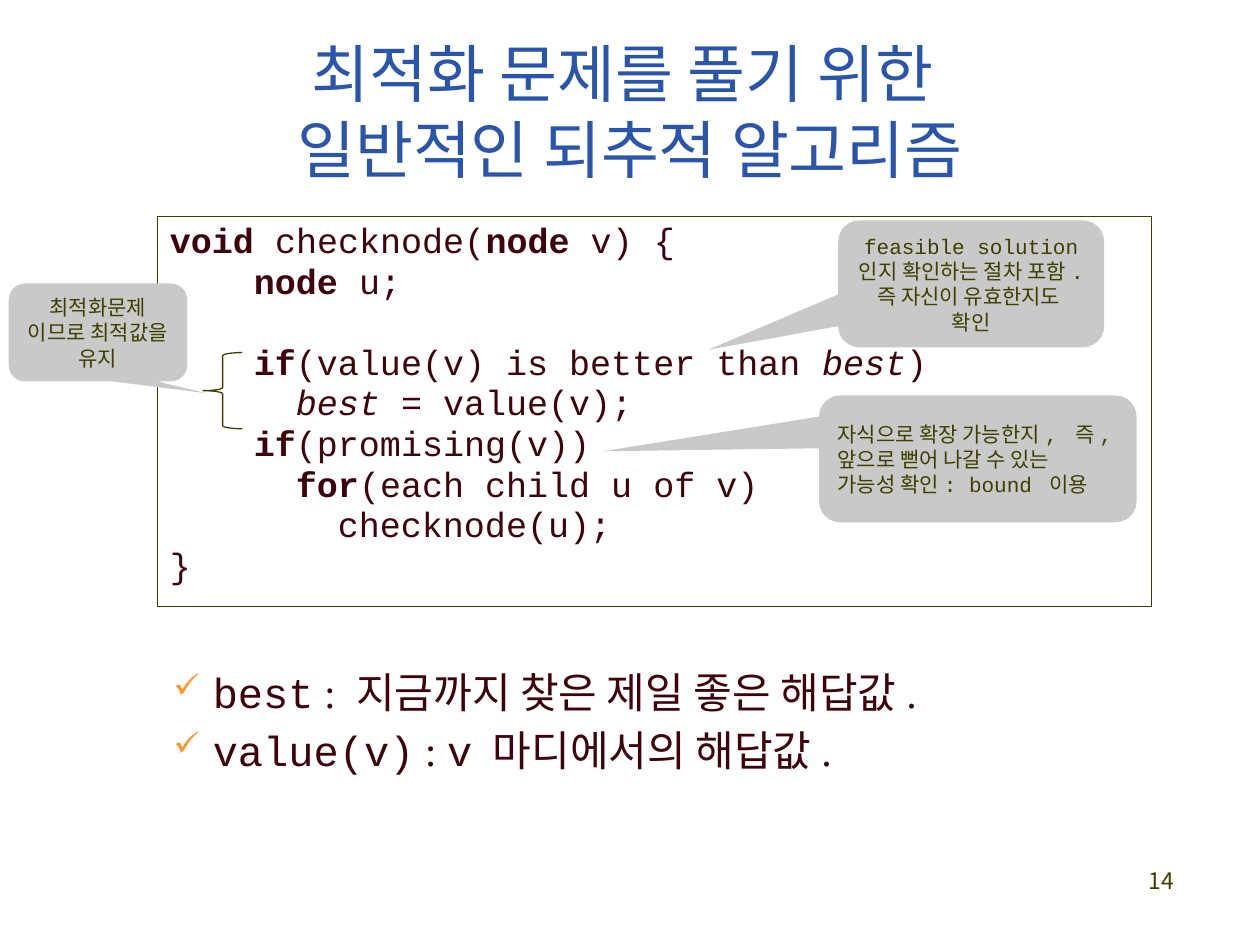
from pptx import Presentation
from pptx.util import Pt
from pptx.dml.color import RGBColor
from pptx.enum.shapes import MSO_SHAPE as Shape
from pptx.enum.text import PP_ALIGN as Align, MSO_ANCHOR as Anchor
from pptx.oxml.ns import qn
from lxml.etree import SubElement

COLORS = {"title": "2A55AA", "code": "3E020C", "ink": "3F3E00",
          "callout": "C9C9C9", "check": "FF9933"}
MONO, SERIF, SANS = "Courier New", "Times New Roman", "Noto Sans CJK KR"
TITLE = "최적화 문제를 풀기 위한 \v일반적인 되추적 알고리즘"

CODE_LINES = [
    (0, 4, [("void", "b"), (" checknode(", ""), ("node", "b"), (" v) {", "")]),
    (4, 4, [("node", "b"), (" u;", "")]),
    (4, 27, [("if", "b"), ("(value(v) is better than ", ""), ("best", "i"), (")", "")]),
    (6, 4, [("best", "i"), (" = value(v);", "")]),
    (4, 4, [("if", "b"), ("(promising(v))", "")]),
    (6, 4, [("for", "b"), ("(each child u of v)", "")]),
    (8, 4, [("checknode(u);", "")]),
    (0, 4, [("}", "")]),
]
CHAR_WIDTH = 12

NOTES = [
    [("best", MONO), (" : 지금까지 찾은 제일 좋은 해답값.", SERIF)],
    [("value(v)", MONO), (" : ", SERIF), ("v", MONO), (" 마디에서의 해답값.", SERIF)],
]

CALLOUTS = [
    ((479, 126, 152, 72.5), (-0.99, 0.52), Align.CENTER,
     "feasible solution 인지 확인하는 절차 포함. 즉 자신이 유효한지도 \v확인"),
    ((468, 226, 181.5, 72.5), (-1.18, -0.06), Align.LEFT,
     "자식으로 확장 가능한지, 즉, 앞으로 뻗어 나갈 수 있는 \v가능성 확인: bound 이용"),
    ((5, 162, 102, 56), (0.61, 0.62), Align.CENTER,
     "최적화문제 이므로 최적값을 유지"),
]


def color(name):
    return RGBColor.from_string(COLORS[name])


def points(values):
    return [Pt(value) for value in values]


def style(span, size, font, ink):
    span.font.size = Pt(size)
    span.font.name = font
    span.font.color.rgb = color(ink)


def add_span(para, text, size, font, ink):
    span = para.add_run()
    span.text = text
    style(span, size, font, ink)
    return span


def fill_text(frame, text, size, font, ink, align):
    frame.text = text
    for para in frame.paragraphs:
        para.alignment = align
        for span in para.runs:
            style(span, size, font, ink)


def next_para(frame, index):
    return frame.add_paragraph() if index else frame.paragraphs[0]


def add_box(page, place):
    box = page.shapes.add_textbox(*points(place))
    box.text_frame.word_wrap = True
    return box


def add_shape(page, kind, place, fill=None, line=None):
    shape = page.shapes.add_shape(kind, *points(place))
    shape.shadow.inherit = False
    if fill:
        shape.fill.solid()
        shape.fill.fore_color.rgb = color(fill)
    else:
        shape.fill.background()
    if line:
        shape.line.color.rgb = color(line)
        shape.line.width = Pt(0.75)
    else:
        shape.line.fill.background()
    return shape


def set_title(page):
    title = page.shapes.title
    title.left, title.top, title.width, title.height = points((54, 18, 612, 90))
    title.text_frame.vertical_anchor = Anchor.MIDDLE
    fill_text(title.text_frame, TITLE, 36, SERIF, "title", Align.CENTER)


def add_code(page):
    frame = add_shape(page, Shape.RECTANGLE, (90, 123.75, 568, 223), line="ink").text_frame
    frame.vertical_anchor = Anchor.TOP
    frame.word_wrap = True
    for index, (indent, gap, parts) in enumerate(CODE_LINES):
        para = next_para(frame, index)
        para.alignment = Align.LEFT
        para.line_spacing = 0.8 if index else 0.9
        para.space_before = Pt(gap)
        para._p.get_or_add_pPr().set("marL", str(Pt(indent * CHAR_WIDTH)))
        for text, look in parts:
            span = add_span(para, text, 20, MONO, "code")
            span.font.bold = look == "b"
            span.font.italic = look == "i"


def add_check(para):
    props = para._p.get_or_add_pPr()
    props.set("marL", str(Pt(58.5)))
    props.set("indent", str(Pt(-22.5)))
    tint = SubElement(props, qn("a:buClr"))
    SubElement(tint, qn("a:srgbClr"), val=COLORS["check"])
    SubElement(props, qn("a:buSzPct"), val="80000")
    SubElement(props, qn("a:buChar"), char="✓")


def add_notes(page):
    frame = add_box(page, (56, 378, 654, 70)).text_frame
    for index, parts in enumerate(NOTES):
        para = next_para(frame, index)
        para.line_spacing = Pt(28)
        para.space_before = Pt(5)
        add_check(para)
        for text, font in parts:
            add_span(para, text, 24, font, "code")


def add_callout(page, place, tip, align, text):
    callout = add_shape(page, Shape.ROUNDED_RECTANGULAR_CALLOUT, place, fill="callout")
    callout.adjustments[0], callout.adjustments[1] = tip
    frame = callout.text_frame
    frame.word_wrap = True
    frame.vertical_anchor = Anchor.MIDDLE
    fill_text(frame, text, 12, MONO, "ink", align)


def add_brace(page):
    brace = add_shape(page, Shape.LEFT_BRACE, (116, 201.5, 22.5, 43.5), line="ink")
    brace.adjustments[0] = 0.08


def add_number(page):
    box = add_box(page, (528, 492, 150, 36))
    fill_text(box.text_frame, "14", 13, SANS, "ink", Align.RIGHT)


def main():
    deck = Presentation()
    deck.slide_width, deck.slide_height = Pt(720), Pt(540)
    page = deck.slides.add_slide(deck.slide_layouts[5])
    set_title(page)
    add_number(page)
    add_notes(page)
    add_code(page)
    for callout in CALLOUTS:
        add_callout(page, *callout)
    add_brace(page)
    deck.save("out.pptx")


main()
